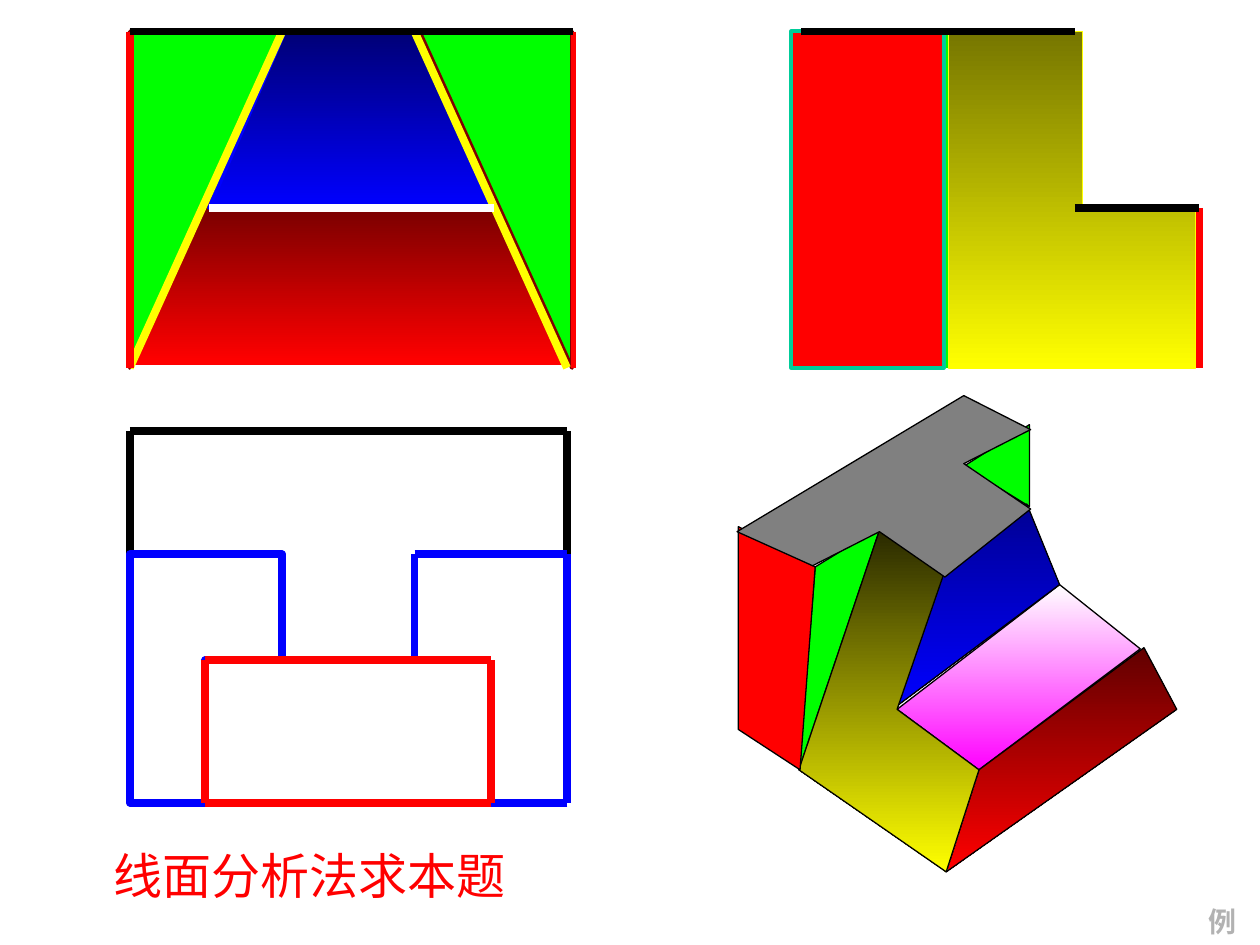
from dataclasses import dataclass
from lxml import etree
from pptx import Presentation, util as u
from pptx.dml.color import RGBColor
from pptx.enum import shapes as es, text as et
from pptx.oxml.ns import qn


@dataclass(frozen=True)
class Theme:
    font: str = "Times New Roman"
    black: str = "000000"
    white: str = "FFFFFF"
    red: str = "FF0000"
    green: str = "00FF00"
    blue: str = "0000FF"
    indigo: str = "3333CC"
    yellow: str = "FFFF00"
    maroon: str = "800000"
    teal: str = "00CC99"
    gray: str = "808080"
    pale: str = "B2B2B2"
    pink: str = "FF00FF"
    title: int = 28
    mark: int = 16
    bold: float = 4.5
    edge: float = 2.25
    thin: float = 0.75


T = Theme()

# Rows and columns shared by the views
TOP, MID, BASE = 0.25, 1.65, 2.92
BACK, STEP, FRONT, NEAR = 3.42, 4.4, 5.24, 6.37
LEFT, RIGHT = 1.03, 4.5
IN_L, IN_R = 1.63, 3.9
TIP_L, TIP_R = 2.24, 3.29


def rgb(code):
    return RGBColor.from_string(code)


def stroke(line, color, width):
    line.color.rgb = rgb(color)
    line.width = u.Pt(width)


def path(parts, color, *pts, width=T.bold):
    """Straight lines from each point to the next."""
    for (x1, y1), (x2, y2) in zip(pts, pts[1:]):
        line = parts.add_connector(
            es.MSO_CONNECTOR.STRAIGHT,
            u.Inches(x1), u.Inches(y1), u.Inches(x2), u.Inches(y2))
        stroke(line.line, color, width)
        etree.SubElement(line._element.spPr, qn("a:effectLst"))


def face(parts, pts, fill=None, edge=T.black, width=T.thin):
    """Closed outline; a pair of colours fills it from top to bottom."""
    spots = [(u.Inches(x), u.Inches(y)) for x, y in pts]
    pen = parts.build_freeform(*spots[0], scale=1.0)
    pen.add_line_segments(spots[1:], close=True)
    shape = pen.convert_to_shape()
    shape.shadow.inherit = False
    if fill is None:
        shape.fill.background()
    elif isinstance(fill, tuple):
        shape.fill.gradient()
        shape.fill.gradient_angle = 270
        for stop, color in zip(shape.fill.gradient_stops, fill):
            stop.color.rgb = rgb(color)
    else:
        shape.fill.solid()
        shape.fill.fore_color.rgb = rgb(fill)
    stroke(shape.line, edge, width)


def place(shape, x, y, w, h):
    shape.left, shape.top = u.Inches(x), u.Inches(y)
    shape.width, shape.height = u.Inches(w), u.Inches(h)


def write(shape, words, size, color, bold=False, wrap=True):
    frame = shape.text_frame
    frame.text = words
    frame.word_wrap = wrap
    frame.auto_size = et.MSO_AUTO_SIZE.SHAPE_TO_FIT_TEXT
    frame.vertical_anchor = et.MSO_ANCHOR.MIDDLE
    para = frame.paragraphs[0]
    para.alignment = et.PP_ALIGN.CENTER
    font = para.runs[0].font
    font.name, font.size, font.bold = T.font, u.Pt(size), bold
    font.color.rgb = rgb(color)


def box(x1, y1, x2, y2):
    return [(x1, y1), (x2, y1), (x2, y2), (x1, y2)]


def frames(parts):
    """Black edges under the front and side views."""
    low, step = 2.86, 1.66
    side = [(6.39, TOP), (8.49, TOP), (8.49, step), (9.52, step),
            (9.52, low), (6.39, low)]
    path(parts, T.black, *side, side[0])
    path(parts, T.black, (7.49, TOP), (7.49, low))
    front = box(LEFT, TOP, 4.53, low)
    path(parts, T.black, *front, front[0])
    path(parts, T.black, (2.3, TOP), (LEFT, low))
    path(parts, T.black, (TIP_R, TOP), (4.53, low))
    path(parts, T.black, (1.62, step), (3.97, step))


def views(parts):
    """Coloured faces and edges of the front and side views."""
    face(parts, [(IN_L, 1.61), (LEFT, 2.88), (RIGHT, 2.88), (IN_R, 1.61)],
         ("760000", T.red), T.red, T.edge)
    path(parts, T.red, (9.52, MID), (9.52, BASE))
    face(parts, [(2.26, TOP), (1.66, MID), (3.93, MID), (3.32, TOP)],
         ("000076", T.blue), T.blue, T.edge)
    path(parts, T.blue, (8.49, TOP), (8.49, MID))
    for tip, end in ((TIP_L, LEFT), (3.33, 4.54)):
        face(parts, [(tip, TOP), (end, TOP), (end, BASE)],
             T.green, T.maroon, T.edge)
    path(parts, T.green, (7.52, TOP), (7.52, BASE), width=6)
    face(parts, [(7.53, TOP), (8.59, TOP), (8.59, MID), (9.49, MID),
                 (9.49, BASE), (7.53, BASE)],
         ("767600", T.yellow), T.yellow)
    path(parts, T.yellow, (TIP_L, TOP), (LEFT, BASE))
    path(parts, T.yellow, (TIP_R, TOP), (RIGHT, BASE))
    face(parts, box(6.28, TOP, 7.49, BASE), T.red, T.teal, T.edge)
    path(parts, T.red, (LEFT, TOP), (LEFT, BASE))
    path(parts, T.red, (4.55, TOP), (4.55, BASE), width=3)


def solid(parts):
    """Faces of the solid, from back to front."""
    for pts, fill in (
        ([(8.17, 3.37), (8.17, 4.02), (7.65, 3.7)], T.green),
        ([(6.47, 4.5), (6.99, 4.18), (6.34, 6.11)], T.green),
        ([(7.12, 5.63), (8.41, 4.64), (9.05, 5.15), (7.77, 6.11)],
         (T.white, T.pink)),
        ([(8.15, 4), (7.37, 4.64), (7.11, 5.61), (8.41, 4.64)],
         ("000094", T.blue)),
        ([(7.77, 6.11), (7.51, 6.92), (9.34, 5.63), (9.08, 5.14)],
         ("610000", T.red)),
        ([(6.99, 4.18), (7.51, 4.5), (7.12, 5.63), (7.77, 6.11),
          (7.51, 6.92), (6.34, 6.11)], ("272700", T.yellow)),
        ([(6.47, 4.5), (5.86, 4.18), (5.86, 5.79), (6.35, 6.11)], T.red),
        ([(6.45, 4.49), (6.98, 4.22), (7.5, 4.58), (8.18, 4.04),
          (7.65, 3.68), (8.18, 3.41), (7.65, 3.14), (5.85, 4.22)], T.gray),
    ):
        face(parts, pts, fill)


def levels(parts):
    """Level edges over the front and side views."""
    path(parts, T.black, (LEFT, TOP), (4.55, TOP))
    path(parts, T.black, (6.36, TOP), (8.53, TOP))
    path(parts, T.white, (1.66, MID), (3.92, MID))
    path(parts, T.black, (8.53, MID), (9.52, MID))


def plan(parts):
    """Top view."""
    rim = box(LEFT, BACK, RIGHT, NEAR)
    path(parts, T.black, *rim, rim[0])
    path(parts, T.blue, (TIP_R, FRONT), (TIP_R, STEP), (RIGHT, STEP),
         (RIGHT, NEAR), (IN_R, NEAR))
    path(parts, T.indigo, (IN_R, NEAR), (IN_R, FRONT), (TIP_R, FRONT))
    face(parts, [(TIP_L, FRONT), (IN_L, FRONT), (IN_L, NEAR), (LEFT, NEAR),
                 (LEFT, STEP), (TIP_L, STEP)], edge=T.blue, width=T.bold)
    core = box(IN_L, FRONT, IN_R, NEAR)
    path(parts, T.red, *core, core[0])


def main():
    deck = Presentation()
    deck.slide_width, deck.slide_height = u.Inches(10), u.Inches(7.5)
    slide = deck.slides.add_slide(deck.slide_layouts[5])
    parts = slide.shapes
    # Drawing
    frames(parts.add_group_shape().shapes)
    views(parts)
    solid(parts)
    levels(parts)
    plan(parts.add_group_shape().shapes)
    # Words
    place(parts.title, 0.08, 6.66, 4.75, 0.57)
    write(parts.title, "线面分析法求本题", T.title, T.red)
    mark = parts.add_textbox(0, 0, 0, 0)
    place(mark, 9.49, 7.13, 0.42, 0.37)
    write(mark, "例", T.mark, T.pale, bold=True, wrap=False)
    deck.save("out.pptx")


if __name__ == "__main__":
    main()
